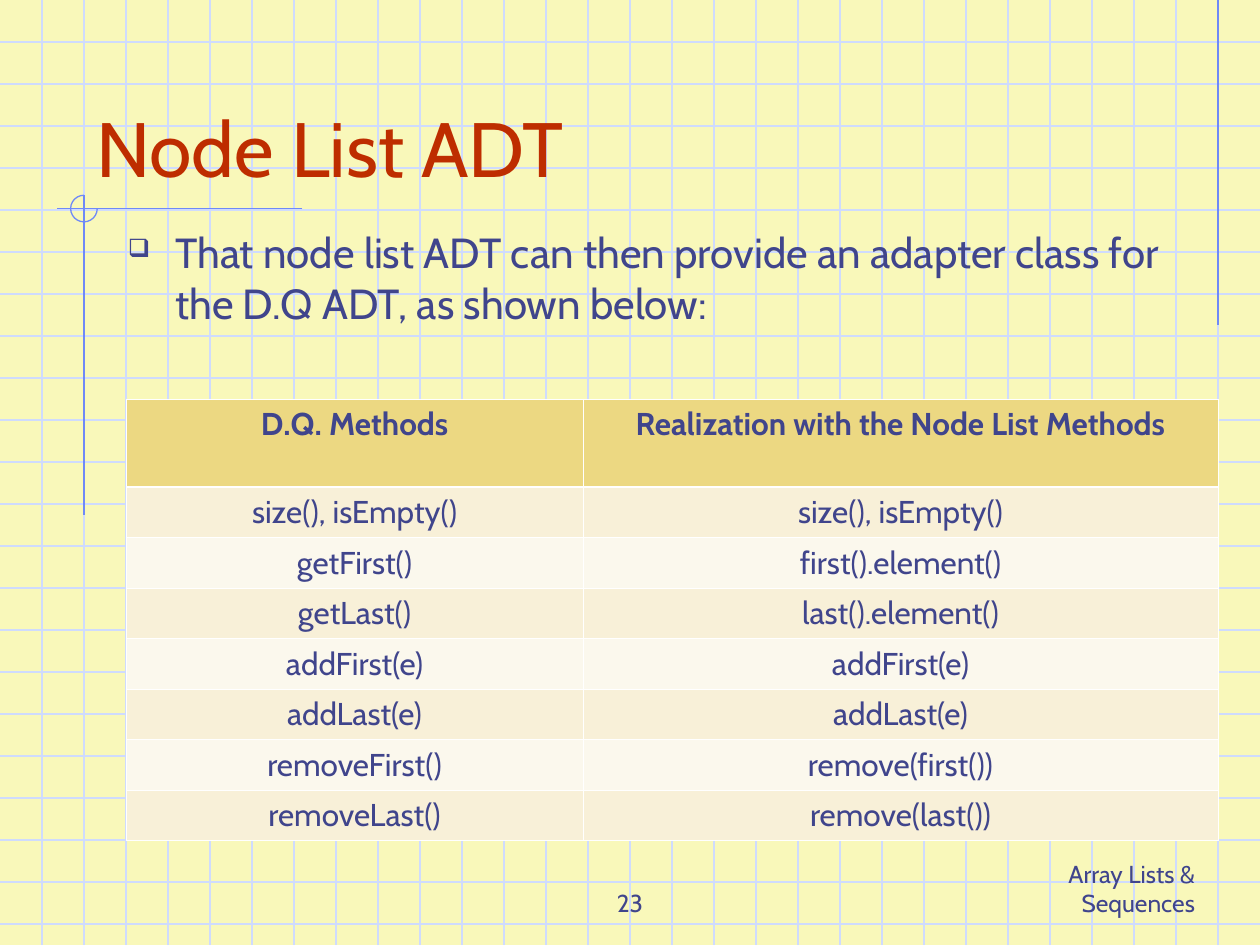
from lxml.etree import SubElement
from pptx import Presentation
from pptx.dml.color import RGBColor
from pptx.enum.shapes import MSO_CONNECTOR, MSO_SHAPE
from pptx.enum.text import MSO_ANCHOR, PP_ALIGN
from pptx.oxml import parse_xml
from pptx.oxml.ns import nsdecls, qn
from pptx.util import Pt

WIDTH, HEIGHT = 720, 540
GRID_STEP = 24
PAPER, GRID, ACCENT = "F9F8BA", "CFDBFD", "6F89F7"
INK, TITLE_RED, WHITE = "40458C", "BE2D00", "FFFFFF"
HEADER_FILL, BAND_FILLS = "ECD882", ("F8F0D8", "FBF8ED")
THIN, THICK = 0.45, 1.47

COLUMN_WIDTHS = (261.2, 362.8)
HEADER_HEIGHT, ROW_HEIGHT = 50.4, 28.8
METHODS = [
    ("D.Q. Methods", "Realization with the Node List Methods"),
    ("size(), isEmpty()", "size(), isEmpty()"),
    ("getFirst()", "first().element()"),
    ("getLast()", "last().element()"),
    ("addFirst(e)", "addFirst(e)"),
    ("addLast(e)", "addLast(e)"),
    ("removeFirst()", "remove(first())"),
    ("removeLast()", "remove(last())"),
]


def rgb(code):
    return RGBColor.from_string(code)


def add_line(slide, start, end, color):
    line = slide.shapes.add_connector(
        MSO_CONNECTOR.STRAIGHT, *(Pt(value) for value in (*start, *end)))
    line.line.color.rgb = rgb(color)
    line.line.width = Pt(0.75)
    SubElement(line._element.spPr, qn("a:effectLst"))


def add_grid(slide):
    for y in range(GRID_STEP, HEIGHT, GRID_STEP):
        add_line(slide, (0, y), (WIDTH, y), GRID)
    for x in range(GRID_STEP, WIDTH, GRID_STEP):
        add_line(slide, (x, 0), (x, HEIGHT), GRID)


def add_ornament(slide):
    add_line(slide, (696, 0), (696, 186), ACCENT)
    add_line(slide, (172.8, 119.2), (32.4, 119.2), ACCENT)
    add_line(slide, (48, 111.6), (48, 294.5), ACCENT)
    ring = slide.shapes.add_shape(
        MSO_SHAPE.ARC, Pt(40.4), Pt(111.6), Pt(15.2), Pt(15.2))
    ring.adjustments[0] = 0
    ring.adjustments[1] = 162
    ring.fill.background()
    ring.line.color.rgb = rgb(ACCENT)
    ring.line.width = Pt(0.75)
    ring.shadow.inherit = False


def write(paragraph, text, size, color=INK, bold=False, align=PP_ALIGN.LEFT):
    paragraph.alignment = align
    run = paragraph.add_run()
    run.text = text
    run.font.name = "Cabin"
    run.font.size = Pt(size)
    run.font.bold = bold
    run.font.color.rgb = rgb(color)


def add_text(slide, place, text, size, anchor=MSO_ANCHOR.BOTTOM, **style):
    frame = slide.shapes.add_textbox(*(Pt(value) for value in place)).text_frame
    frame.word_wrap = True
    frame.vertical_anchor = anchor
    write(frame.paragraphs[0], text, size, **style)
    return frame.paragraphs[0]


def add_bullet(paragraph, mark):
    properties = paragraph._p.get_or_add_pPr()
    properties.set("marL", str(Pt(27)))
    properties.set("indent", str(Pt(-27)))
    color = SubElement(properties, qn("a:buClr"))
    SubElement(color, qn("a:srgbClr"), val=INK)
    SubElement(properties, qn("a:buSzPct"), val="60000")
    SubElement(properties, qn("a:buChar"), char=mark)


def set_borders(cell, top, bottom):
    properties = cell._tc.get_or_add_tcPr()
    widths = {"lnL": THIN, "lnR": THIN, "lnT": top, "lnB": bottom}
    for position, (side, width) in enumerate(widths.items()):
        properties.insert(position, parse_xml(
            f'<a:{side} {nsdecls("a")} w="{Pt(width)}"><a:solidFill>'
            f'<a:srgbClr val="{WHITE}"/></a:solidFill></a:{side}>'))


def add_methods_table(slide):
    height = HEADER_HEIGHT + ROW_HEIGHT * (len(METHODS) - 1)
    table = slide.shapes.add_table(
        len(METHODS), len(COLUMN_WIDTHS), Pt(72), Pt(228),
        Pt(sum(COLUMN_WIDTHS)), Pt(height)).table
    table.horz_banding = False
    for column, width in zip(table.columns, COLUMN_WIDTHS):
        column.width = Pt(width)
    for index, (row, methods) in enumerate(zip(table.rows, METHODS)):
        header = index == 0
        row.height = Pt(HEADER_HEIGHT if header else ROW_HEIGHT)
        for cell, method in zip(row.cells, methods):
            cell.fill.solid()
            cell.fill.fore_color.rgb = rgb(
                HEADER_FILL if header else BAND_FILLS[(index - 1) % 2])
            set_borders(cell, THICK if index == 1 else THIN,
                        THICK if header else THIN)
            write(cell.text_frame.paragraphs[0], method, 18,
                  bold=header, align=PP_ALIGN.CENTER)


def main():
    deck = Presentation()
    deck.slide_width, deck.slide_height = Pt(WIDTH), Pt(HEIGHT)
    slide = deck.slides.add_slide(deck.slide_layouts[6])
    slide.background.fill.solid()
    slide.background.fill.fore_color.rgb = rgb(PAPER)
    add_grid(slide)
    add_ornament(slide)
    add_text(slide, (540, 492, 150, 36), "Array Lists & Sequences", 14,
             align=PP_ALIGN.RIGHT)
    add_text(slide, (246, 492, 228, 36), "23", 14, align=PP_ALIGN.CENTER)
    add_text(slide, (48, 24, 612, 90), "Node List ADT", 44, color=TITLE_RED)
    statement = add_text(
        slide, (66, 126, 612, 378),
        "That node list ADT can then provide an adapter class for "
        "the D.Q ADT, as shown below:", 24, anchor=MSO_ANCHOR.TOP)
    add_bullet(statement, "❑")
    add_methods_table(slide)
    deck.save("out.pptx")


if __name__ == "__main__":
    main()
